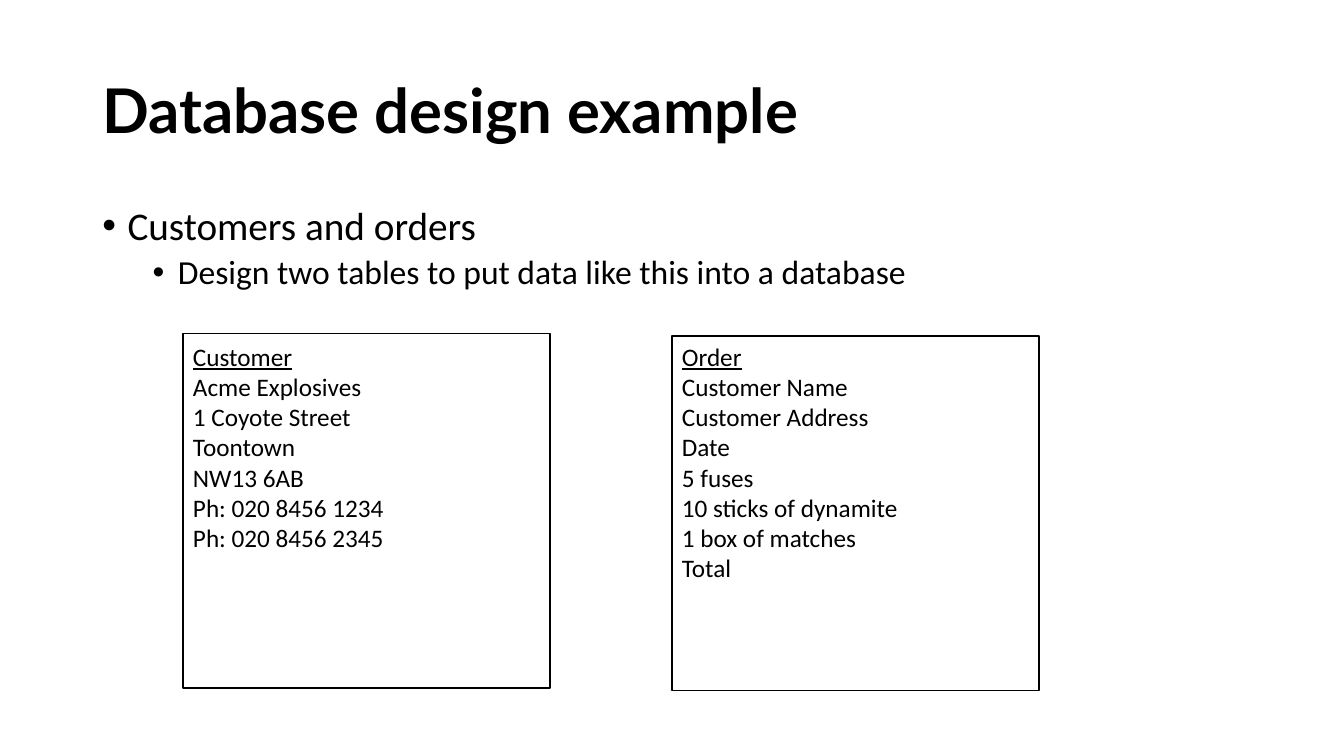
from dataclasses import dataclass

from lxml.etree import SubElement
from pptx import Presentation
from pptx.dml.color import RGBColor
from pptx.enum.shapes import MSO_SHAPE
from pptx.enum.text import MSO_ANCHOR
from pptx.oxml.ns import qn
from pptx.util import Inches, Pt

COLUMNS, ROWS = 160, 90


@dataclass(frozen=True)
class Theme:
    ink: RGBColor = RGBColor(0, 0, 0)
    paper: RGBColor = RGBColor(255, 255, 255)
    title_font: str = "Lato"
    body_font: str = "Calibri"
    title_size: int = 44
    bullet_sizes: tuple = (28, 24)
    bullet_spacing: tuple = (10, 5)
    record_size: int = 18
    border: int = 1


class SlideBuilder:
    def __init__(self, deck, theme):
        self.theme = theme
        self.page = deck.slides.add_slide(deck.slide_layouts[6])
        self.page.background.fill.solid()
        self.page.background.fill.fore_color.rgb = theme.paper
        self.column = deck.slide_width / COLUMNS
        self.row = deck.slide_height / ROWS

    def place(self, left, top, width, height):
        """Turn grid columns and rows into slide lengths."""
        return (round(left * self.column), round(top * self.row),
                round(width * self.column), round(height * self.row))

    def text_frame(self, shapes, area, wrap=True):
        frame = shapes.add_textbox(*self.place(*area)).text_frame
        frame.word_wrap = wrap
        return frame

    def style(self, para, size, font):
        para.font.size = Pt(size)
        para.font.name = font
        para.font.color.rgb = self.theme.ink

    def title(self, text, area):
        frame = self.text_frame(self.page.shapes, area)
        frame.vertical_anchor = MSO_ANCHOR.MIDDLE
        para = frame.paragraphs[0]
        para.text = text
        para.line_spacing = 0.9
        self.style(para, self.theme.title_size, self.theme.title_font)
        para.font.bold = True

    def bullets(self, items, area):
        """Write (level, text) pairs as a bulleted outline."""
        frame = self.text_frame(self.page.shapes, area)
        frame.text = "\n".join(text for _, text in items)
        for para, (level, _) in zip(frame.paragraphs, items):
            para.level = level
            para.line_spacing = 0.9
            para.space_before = Pt(self.theme.bullet_spacing[level])
            self.style(para, self.theme.bullet_sizes[level], self.theme.body_font)
            properties = para._p.get_or_add_pPr()
            properties.set("marL", str(Inches(0.25 + 0.5 * level)))
            properties.set("indent", str(Inches(-0.25)))
            bullet_font = SubElement(properties, qn("a:buFont"))
            bullet_font.set("typeface", "Arial")
            SubElement(properties, qn("a:buChar")).set("char", "•")
            # The schema wants default run properties after the bullet.
            properties.append(properties.find(qn("a:defRPr")))

    def record(self, heading, lines, frame_area, text_area):
        """Draw a bordered card with an underlined heading."""
        shapes = self.page.shapes.add_group_shape().shapes
        box = shapes.add_shape(MSO_SHAPE.RECTANGLE, *self.place(*frame_area))
        box.shadow.inherit = False
        box.fill.background()
        box.line.color.rgb = self.theme.ink
        box.line.width = Pt(self.theme.border)
        frame = self.text_frame(shapes, text_area, wrap=False)
        frame.text = "\n".join([heading, *lines])
        for para in frame.paragraphs:
            self.style(para, self.theme.record_size, self.theme.body_font)
        frame.paragraphs[0].font.underline = True


def main():
    deck = Presentation()
    deck.slide_width, deck.slide_height = Inches(13.33), Inches(7.5)
    slide = SlideBuilder(deck, Theme())
    slide.title("Database design example", (11, 4.8, 138, 17.4))
    slide.bullets([
        (0, "Customers and orders"),
        (1, "Design two tables to put data like this into a database"),
    ], (11, 24, 138, 57.1))

    card_width, card_height, text_top = 43.7, 42.2, 40
    records = [
        ("Customer", ["Acme Explosives", "1 Coyote Street", "Toontown", "NW13 6AB",
                      "Ph: 020 8456 1234", "Ph: 020 8456 2345"],
         21.8, 39.7, 25.3, 34),
        ("Order", ["Customer Name", "Customer Address", "Date", "5 fuses",
                   "10 sticks of dynamite", "1 box of matches", "Total"],
         80, 40, 28.3, 30.2),
    ]
    for heading, lines, left, top, text_width, text_height in records:
        slide.record(heading, lines, (left, top, card_width, card_height),
                     (left, text_top, text_width, text_height))
    deck.save("out.pptx")


if __name__ == "__main__":
    main()
